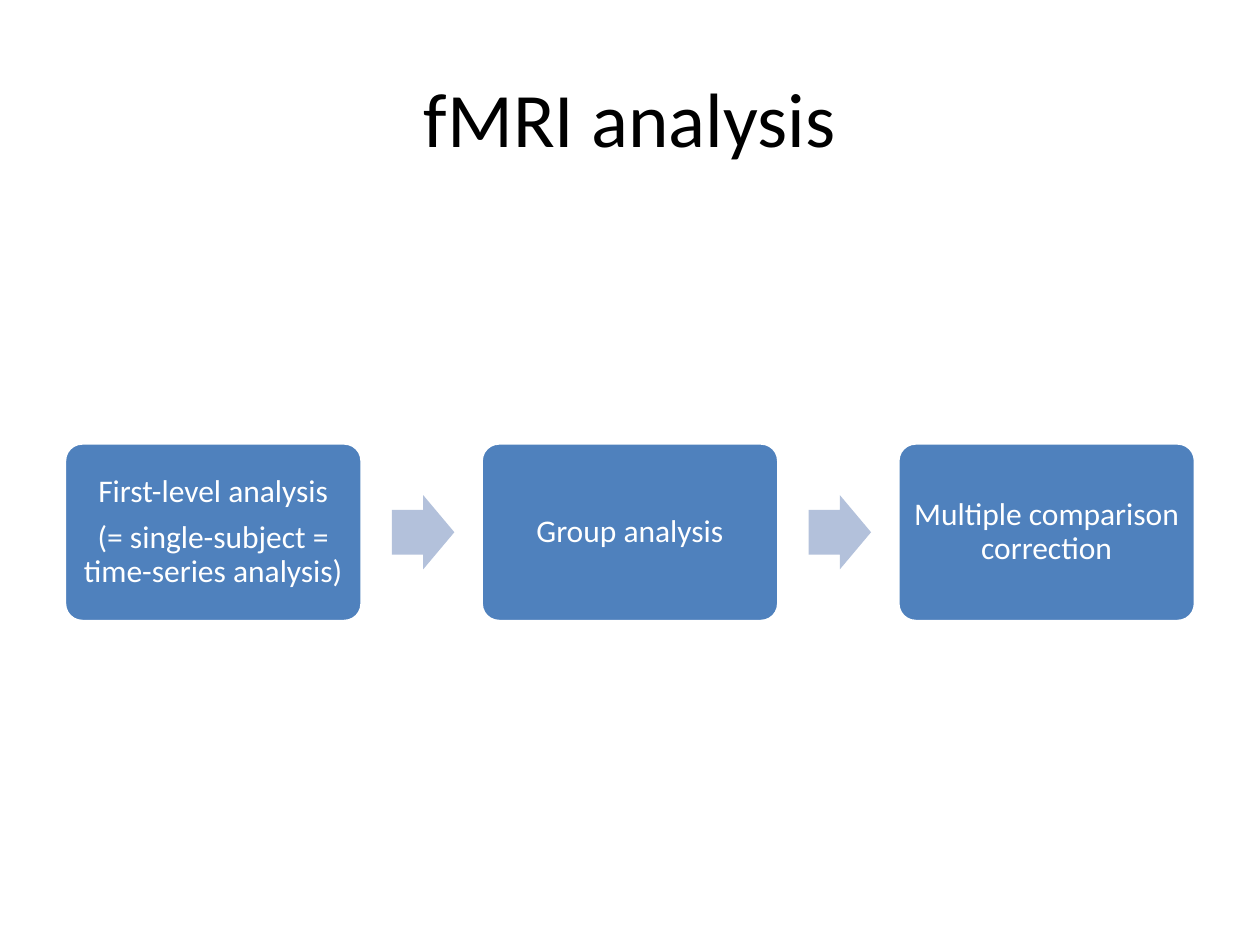
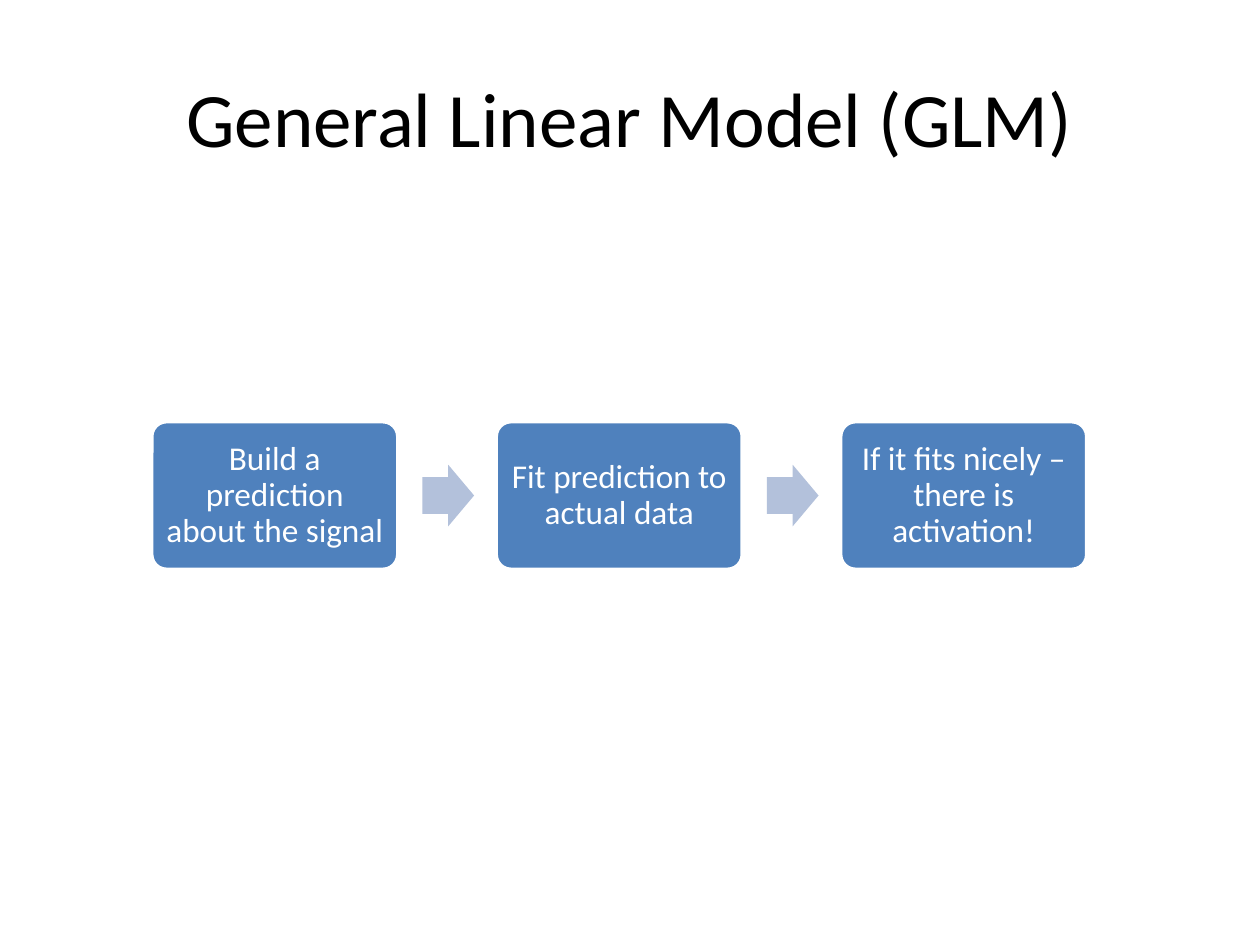
import pptx
import pptx.dml.color
import pptx.enum.shapes
import pptx.enum.text
import pptx.util

Cm = pptx.util.Cm
Pt = pptx.util.Pt
SHAPE = pptx.enum.shapes.MSO_SHAPE

FONT = "Calibri"
BLACK = "000000"
WHITE = "FFFFFF"
STEP_BLUE = "4F81BD"
ARROW_BLUE = "B3C1DB"


def color(hex_code):
    return pptx.dml.color.RGBColor.from_string(hex_code)


def write(sp, paragraphs, size, hex_code, line_spacing=None, gap=0):
    tf = sp.text_frame
    tf.word_wrap = True
    tf.vertical_anchor = pptx.enum.text.MSO_ANCHOR.MIDDLE
    for i, text in enumerate(paragraphs):
        p = tf.add_paragraph() if i else tf.paragraphs[0]
        p.alignment = pptx.enum.text.PP_ALIGN.CENTER
        p.line_spacing = line_spacing
        if i:
            p.space_before = Pt(gap)
        r = p.add_run()
        r.text = text
        r.font.name = FONT
        r.font.size = Pt(size)
        r.font.color.rgb = color(hex_code)


def add_title(s, text):
    sp = s.shapes.add_textbox(Cm(1.27), Cm(0.76), Cm(22.86), Cm(3.18))
    write(sp, [text], 44, BLACK)


def add_filled(s, kind, left, middle, width, height, fill, adjustments):
    sp = s.shapes.add_shape(kind, Cm(left), Cm(middle - height / 2),
                            Cm(width), Cm(height))
    sp.shadow.inherit = False
    sp.fill.solid()
    sp.fill.fore_color.rgb = color(fill)
    for i, value in enumerate(adjustments):
        sp.adjustments[i] = value
    return sp


def add_step(s, left, middle, width, paragraphs, size):
    sp = add_filled(s, SHAPE.ROUNDED_RECTANGLE, left, middle,
                    width, 0.6 * width, STEP_BLUE, [0.1])
    sp.line.color.rgb = color(WHITE)
    sp.line.width = Pt(2)
    tf = sp.text_frame
    tf.margin_left = tf.margin_right = Cm(0.18)
    tf.margin_top = tf.margin_bottom = Cm(0.18)
    write(sp, paragraphs, size, WHITE, line_spacing=0.9, gap=7)


def add_arrow(s, left, middle, step_width):
    sp = add_filled(s, SHAPE.RIGHT_ARROW, left, middle, 0.21 * step_width,
                    0.25 * step_width, ARROW_BLUE, [0.6, 0.5])
    sp.line.fill.background()


def add_process(s, left, middle, step_width, steps, size):
    for i, paragraphs in enumerate(steps):
        step_left = left + i * 1.4 * step_width
        if i:
            add_arrow(s, step_left - 0.3 * step_width, middle, step_width)
        add_step(s, step_left, middle, step_width, paragraphs, size)


def add_process_slide(prs, title, **process):
    s = prs.slides.add_slide(prs.slide_layouts[6])
    add_title(s, title)
    add_process(s, **process)


def main():
    prs = pptx.Presentation()
    prs.slide_width = Cm(25.4)
    prs.slide_height = Cm(19.05)
    add_process_slide(
        prs, "fMRI analysis", left=1.3, middle=10.73, step_width=6, size=18,
        steps=[
            ["First-level analysis", "(= single-subject = time-series analysis)"],
            ["Group analysis"],
            ["Multiple comparison correction"],
        ])
    add_process_slide(
        prs, "General Linear Model (GLM)", left=3.06, middle=9.99,
        step_width=4.96, size=19,
        steps=[
            ["Build a prediction about the signal"],
            ["Fit prediction to actual data"],
            ["If it fits nicely – there is activation!"],
        ])
    prs.save("out.pptx")


if __name__ == "__main__":
    main()
